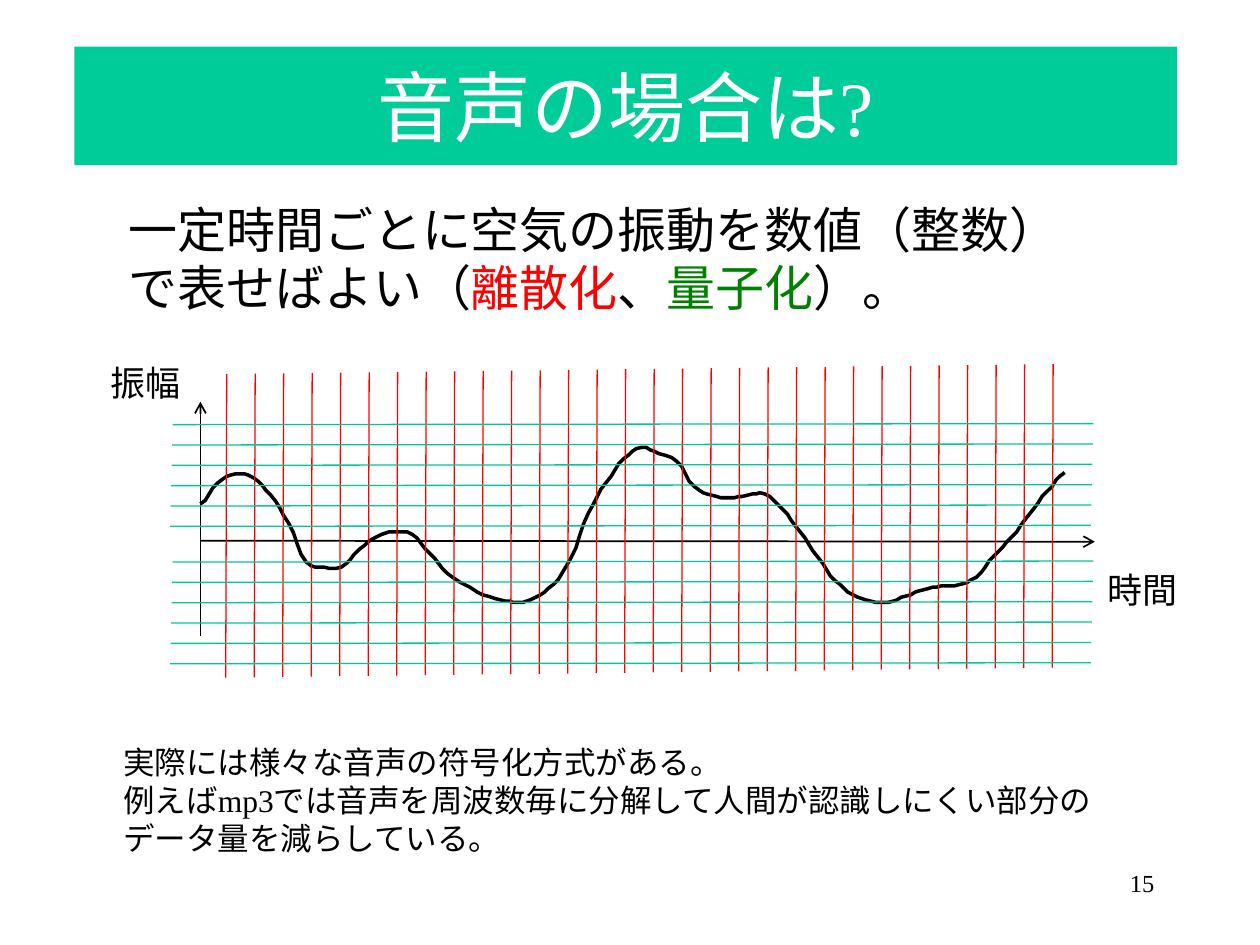
from lxml import etree
from pptx import Presentation
from pptx.dml.color import RGBColor
from pptx.enum.shapes import MSO_CONNECTOR
from pptx.enum.text import MSO_ANCHOR, PP_ALIGN
from pptx.oxml.ns import qn
from pptx.util import Cm, Pt

COLORS = {
    "text": "000000",
    "inverse": "FFFFFF",
    "banner": "00CC99",
    "sampling": "FF0000",
    "quantizing": "008000",
    "levels": "00C896",
}
FONT = "Times New Roman"

# Amplitudes of the sound wave at equal time steps, in hundredths of an inch
WAVE_UNIT = Cm(2.54) / 100
TIME_STEP = 14
AMPLITUDES = [
    29, 46, 53, 50, 36, 14, -17, -21, -21, -7, 3, 7, 5, -10, -26, -35, -43,
    -47, -49, -45, -35, -14, 22, 46, 65, 74, 69, 63, 43, 36, 34, 36, 37, 25,
    7, -13, -32, -43, -48, -49, -44, -39, -36, -35, -29, -12, 3, 21, 39, 54,
]


def rgb(name):
    return RGBColor.from_string(COLORS[name])


def write(frame, paragraphs, size, color="text", align=PP_ALIGN.LEFT, wrap=True):
    """Each paragraph is a list of strings or (string, color name) pairs."""
    frame.word_wrap = wrap
    for index, parts in enumerate(paragraphs):
        paragraph = frame.paragraphs[0] if index == 0 else frame.add_paragraph()
        paragraph.alignment = align
        for part in parts:
            words, part_color = (part, color) if isinstance(part, str) else part
            run = paragraph.add_run()
            run.text = words
            run.font.name = FONT
            run.font.size = Pt(size)
            run.font.color.rgb = rgb(part_color)


def add_text(slide, box, paragraphs, **text_format):
    frame = slide.shapes.add_textbox(*map(Cm, box)).text_frame
    write(frame, paragraphs, **text_format)


def add_line(slide, start, end, color, width=0.75, arrow=False):
    line = slide.shapes.add_connector(
        MSO_CONNECTOR.STRAIGHT, *map(Cm, (*start, *end)))
    line.line.color.rgb = rgb(color)
    line.line.width = Pt(width)
    properties = line._element.spPr
    if arrow:
        etree.SubElement(properties.find(qn("a:ln")), qn("a:tailEnd"), type="arrow")
    etree.SubElement(properties, qn("a:effectLst"))


def add_banner(slide, box, heading):
    title = slide.shapes.title
    title.left, title.top, title.width, title.height = map(Cm, box)
    title.fill.solid()
    title.fill.fore_color.rgb = rgb("banner")
    title.text_frame.vertical_anchor = MSO_ANCHOR.MIDDLE
    write(title.text_frame, [[heading]], size=44, color="inverse",
          align=PP_ALIGN.CENTER)


def add_axes(slide, left, top):
    add_line(slide, (left + 2.06, top + 3.74), (left + 20.09, top + 3.76),
             "text", width=1, arrow=True)
    add_line(slide, (left + 2.06, top + 5.67), (left + 2.06, top + 0.94),
             "text", width=1, arrow=True)
    for label, x, y in (("時間", 20.09, 4.17), ("振幅", 0, 0)):
        add_text(slide, (left + x, top + y, 1.93, 1.12), [[label]],
                 size=20, wrap=False)


def smooth_wave(parts=4):
    """Catmull-Rom points between the amplitudes, with y pointing down."""
    padded = [AMPLITUDES[0], *AMPLITUDES, AMPLITUDES[-1]]
    points = []
    for index in range(len(AMPLITUDES) - 1):
        before, start, end, after = padded[index:index + 4]
        for part in range(parts):
            t = part / parts
            amplitude = start + t / 2 * (
                end - before
                + t * (2 * before - 5 * start + 4 * end - after)
                + t * t * (3 * start - before - 3 * end + after))
            points.append((TIME_STEP * (index + t), -amplitude))
    return points + [(TIME_STEP * (len(AMPLITUDES) - 1), -AMPLITUDES[-1])]


def add_wave(slide, left, top):
    first, *others = smooth_wave()
    builder = slide.shapes.build_freeform(*first, scale=WAVE_UNIT)
    builder.add_line_segments(others, close=False)
    wave = builder.convert_to_shape(Cm(left + 2.06), Cm(top + 3.74))
    wave.shadow.inherit = False
    wave.fill.background()
    wave.line.color.rgb = rgb("text")
    wave.line.width = Pt(2)


def add_grid(slide, left, top):
    """Sampling times rise slightly to the right; levels lie on both sides of the axis."""
    samples = 30
    for index in range(samples):
        share = index / (samples - 1)
        x = left + 2.59 + 16.66 * share
        y = top + 0.38 - 0.2 * share
        add_line(slide, (x, y), (x - 0.02, y + 6.12), "sampling")
    for first_level in (1.4, 4.17):
        for index in range(6):
            x = left + 1.5 - 0.01 * index
            y = top + first_level + 0.41 * index
            add_line(slide, (x, y), (x + 18.56, y - 0.02), "levels")


def add_graph(slide, left, top):
    add_axes(slide, left, top)
    add_wave(slide, left, top)
    add_grid(slide, left, top)


def main():
    deck = Presentation()
    deck.slide_width, deck.slide_height = Cm(25.4), Cm(19.05)
    slide = deck.slides.add_slide(deck.slide_layouts[5])

    add_banner(slide, (1.5, 0.94, 22.23, 2.39), "音声の場合は?")
    add_text(slide, (2.34, 3.89, 19.25, 2.64), [[
        "一定時間ごとに空気の振動を数値（整数）で表せばよい（",
        ("離散化", "sampling"), "、", ("量子化", "quantizing"), "）。",
    ]], size=28)
    add_graph(slide, 1.98, 7.16)
    add_text(slide, (2.24, 14.86, 20.6, 2.57), [
        ["実際には様々な音声の符号化方式がある。"],
        ["例えばmp3では音声を周波数毎に分解して人間が認識しにくい部分のデータ量を減らしている。"],
    ], size=18)
    add_text(slide, (18.16, 17.37, 5.36, 1.32), [["15"]],
             size=14, align=PP_ALIGN.RIGHT)
    deck.save("out.pptx")


if __name__ == "__main__":
    main()
